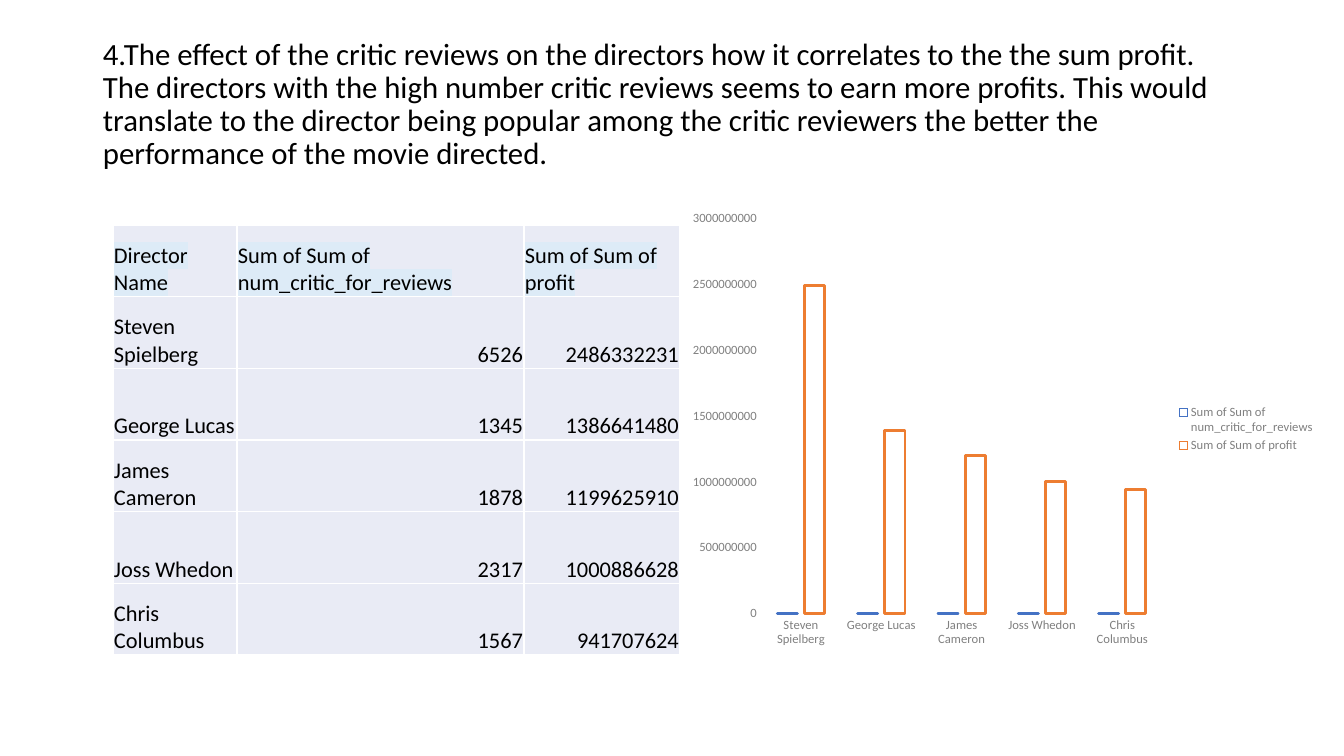
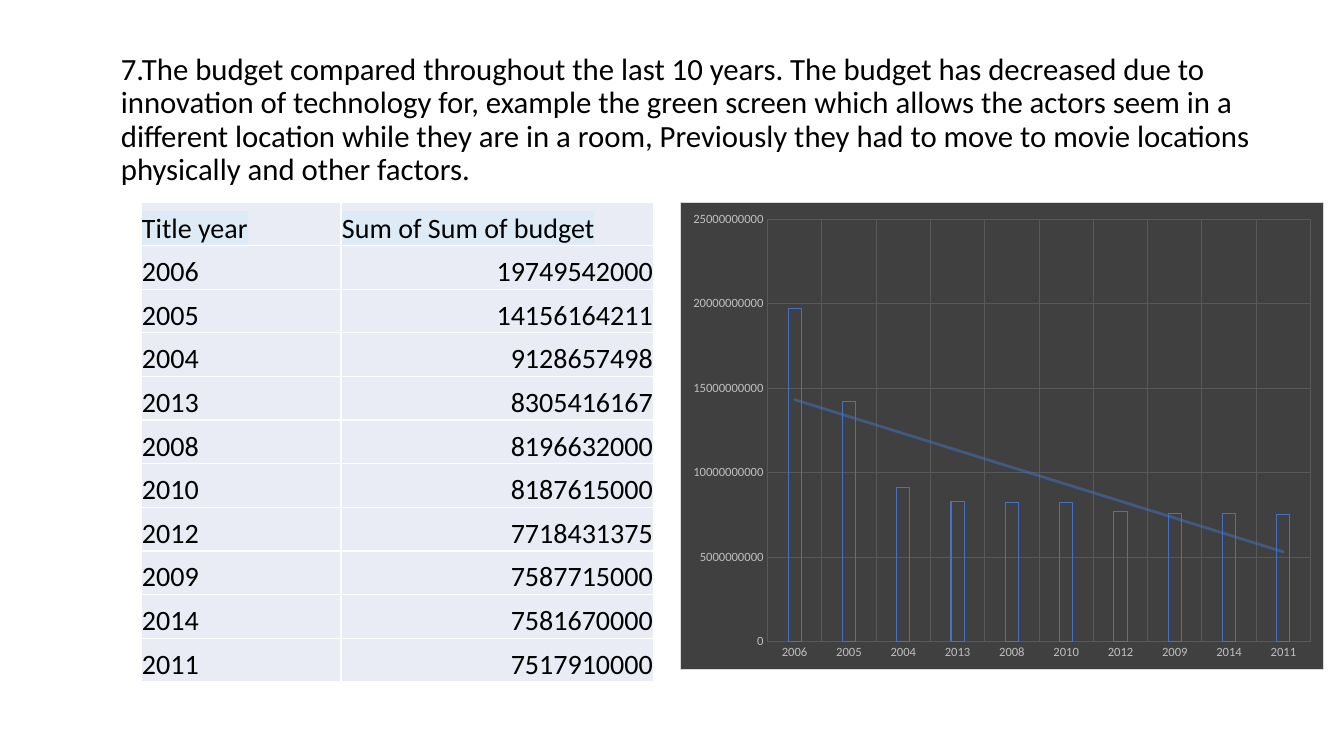
"""Build two slides that pair a data table with a column chart."""
from pptx import Presentation
from pptx.chart.data import CategoryChartData
from pptx.dml.color import RGBColor
from pptx.enum import chart as kinds, text as txt
from pptx.oxml import parse_xml
from pptx.oxml.ns import nsdecls, qn
from pptx.util import Pt

PX = 12192000 / 1344
FONT = "Calibri"
BLACK = RGBColor(0x00, 0x00, 0x00)
WHITE = RGBColor(0xFF, 0xFF, 0xFF)
CELL = RGBColor(0xE9, 0xEB, 0xF5)
MARK = RGBColor(0xDD, 0xEB, 0xF7)
BLUE = RGBColor(0x44, 0x72, 0xC4)
ORANGE = RGBColor(0xED, 0x7D, 0x31)
GREY = RGBColor(0x80, 0x80, 0x80)
DARK = RGBColor(0x40, 0x40, 0x40)
RULE = RGBColor(0x59, 0x59, 0x59)
PALE = RGBColor(0xBF, 0xBF, 0xBF)
EDGE = RGBColor(0xD9, 0xD9, 0xD9)

CRITICS = (
    "4.The effect of the critic reviews on the directors how it correlates to the "
    "the sum profit. The directors with the high number critic reviews seems to earn "
    "more profits. This would translate to the director being popular among the critic "
    "reviewers the better the performance of the movie directed."
)
BUDGET = (
    "7.The budget compared throughout the last 10 years. The budget has decreased due "
    "to innovation of technology for, example the green screen which allows the actors "
    "seem in a different location while they are in a room, Previously they had to move "
    "to movie locations physically and other factors."
)
PROFITS = [
    ("Director Name", "Sum of Sum of num_critic_for_reviews", "Sum of Sum of profit"),
    ("Steven Spielberg", "6526", "2486332231"),
    ("George Lucas", "1345", "1386641480"),
    ("James Cameron", "1878", "1199625910"),
    ("Joss Whedon", "2317", "1000886628"),
    ("Chris Columbus", "1567", "941707624"),
]
YEARS = [
    ("Title year", "Sum of Sum of budget"),
    ("2006", "19749542000"),
    ("2005", "14156164211"),
    ("2004", "9128657498"),
    ("2013", "8305416167"),
    ("2008", "8196632000"),
    ("2010", "8187615000"),
    ("2012", "7718431375"),
    ("2009", "7587715000"),
    ("2014", "7581670000"),
    ("2011", "7517910000"),
]


def px(*vals):
    """Turn pixels into EMU."""
    return [round(v * PX) for v in vals]


def style(font, size, color):
    """Set the face, size and colour of a font."""
    font.name, font.size = FONT, Pt(size)
    font.color.rgb = color


def write(frame, words, size=22, color=BLACK, align=None, space=None, mark=None):
    """Put one formatted paragraph in a text frame."""
    para = frame.paragraphs[0]
    para.alignment, para.line_spacing = align, space
    run = para.add_run()
    run.text = words
    style(run.font, size, color)
    if mark:
        fill = run.font.fill and run._r.rPr.find(qn("a:solidFill"))
        fill.addnext(parse_xml(
            f'<a:highlight {nsdecls("a")}><a:srgbClr val="{mark}"/></a:highlight>'))


def add_title(slide, box, words):
    """Add the heading of a slide."""
    frame = slide.shapes.add_textbox(*px(*box)).text_frame
    frame.word_wrap = True
    frame.vertical_anchor = txt.MSO_ANCHOR.MIDDLE
    write(frame, words, space=0.9)


def add_edges(cell):
    """Draw thin white borders round a table cell."""
    props = cell._tc.get_or_add_tcPr()
    for spot, side in enumerate("LRTB"):
        props.insert(spot, parse_xml(
            f'<a:ln{side} {nsdecls("a")} w="{Pt(1)}"><a:solidFill>'
            f'<a:srgbClr val="{WHITE}"/></a:solidFill></a:ln{side}>'))


def add_grid(slide, left, top, cols, height, rows, size):
    """Add a table with equal rows and a marked heading row."""
    box = px(left, top, sum(cols), height)
    table = slide.shapes.add_table(len(rows), len(cols), *box).table
    table.first_row = table.horz_banding = False
    for col, width in zip(table.columns, px(*cols)):
        col.width = width
    for y, row in enumerate(rows):
        table.rows[y].height = px(height / len(rows))[0]
        for x, words in enumerate(row):
            cell = table.cell(y, x)
            cell.margin_left = cell.margin_right = cell.margin_top = px(1)[0]
            cell.margin_bottom = 0
            cell.vertical_anchor = txt.MSO_ANCHOR.BOTTOM
            cell.fill.solid()
            cell.fill.fore_color.rgb = CELL
            add_edges(cell)
            write(cell.text_frame, words, size,
                  align=txt.PP_ALIGN.RIGHT if x and y else None,
                  mark=None if y else MARK)


def set_axis(axis, color, rule=None):
    """Format the labels and grid of an axis."""
    axis.major_tick_mark = axis.minor_tick_mark = kinds.XL_TICK_MARK.NONE
    axis.format.line.fill.background()
    style(axis.tick_labels.font, 9, color)
    axis.has_major_gridlines = rule is not None
    if rule is not None:
        line = axis.major_gridlines.format.line
        line.color.rgb, line.width = rule, Pt(0.75)


def add_bars(slide, box, cats, series, top, step, gap, lap, width, color, rule=None):
    """Add a chart of outlined columns."""
    data = CategoryChartData()
    data.categories = cats
    for name, vals, _ in series:
        data.add_series(name, vals)
    kind = kinds.XL_CHART_TYPE.COLUMN_CLUSTERED
    chart = slide.shapes.add_chart(kind, *px(*box), data).chart
    chart.has_title = chart.has_legend = False
    style(chart.font, 10, BLACK)
    set_axis(chart.category_axis, color, rule)
    axis = chart.value_axis
    set_axis(axis, color, rule)
    axis.minimum_scale, axis.maximum_scale, axis.major_unit = 0, top, step
    plot = chart.plots[0]
    plot.vary_by_categories = False
    plot.gap_width, plot.overlap = gap, lap
    for bars, (_, _, hue) in zip(plot.series, series):
        bars.format.fill.background()
        bars.format.line.color.rgb = hue
        bars.format.line.width = Pt(width)
    return chart


def add_key(chart, color):
    """Add a legend on the right of a chart."""
    chart.has_legend = True
    chart.legend.position = kinds.XL_LEGEND_POSITION.RIGHT
    chart.legend.include_in_layout = False
    style(chart.legend.font, 9, color)


def add_back(chart, fill, edge):
    """Fill and outline the chart area."""
    chart.element.find(qn("c:chart")).addnext(parse_xml(
        f'<c:spPr {nsdecls("c", "a")}>'
        f'<a:solidFill><a:srgbClr val="{fill}"/></a:solidFill>'
        f'<a:ln w="{Pt(0.75)}"><a:solidFill><a:srgbClr val="{edge}"/></a:solidFill></a:ln>'
        '</c:spPr>'))


def add_trend(chart, color):
    """Add a half transparent linear trend line to the first series."""
    cat = next(chart.element.iter(qn("c:cat")))
    cat.addprevious(parse_xml(
        f'<c:trendline {nsdecls("c", "a")}><c:spPr><a:ln w="{Pt(2)}" cap="rnd">'
        f'<a:solidFill><a:srgbClr val="{color}"><a:alpha val="50000"/></a:srgbClr>'
        '</a:solidFill></a:ln></c:spPr><c:trendlineType val="linear"/>'
        '<c:dispRSqr val="0"/><c:dispEq val="0"/></c:trendline>'))


def show_profit(slide):
    """Build the slide on critics and profit."""
    add_title(slide, (93, 32, 1159, 146), CRITICS)
    add_grid(slide, 113, 225, (124, 287, 156), 430, PROFITS, 16)
    _, *names = PROFITS[0]
    sums = [v * 10**7 for v in (249, 139, 120, 100, 94)]
    series = [(names[0], [0] * 5, BLUE), (names[1], sums, ORANGE)]
    chart = add_bars(slide, (680, 202, 645, 454), [r[0] for r in PROFITS[1:]], series,
                     top=3 * 10**9, step=5 * 10**8, gap=164, lap=-35, width=2, color=GREY)
    add_key(chart, GREY)


def show_budget(slide):
    """Build the slide on budgets by year."""
    add_title(slide, (111, 37, 1158, 167), BUDGET)
    add_grid(slide, 141, 202, (200, 313), 480, YEARS, 20)
    sums = [v * 10**8 for v in (197, 142, 91, 83, 82, 82, 77, 76, 76, 75)]
    chart = add_bars(slide, (680, 202, 644, 468), [r[0] for r in YEARS[1:]],
                     [("Series 1", sums, BLUE)], top=25 * 10**9, step=5 * 10**9,
                     gap=315, lap=-40, width=0.75, color=PALE, rule=RULE)
    add_back(chart, DARK, EDGE)
    add_trend(chart, BLUE)


def main():
    """Build and save the deck."""
    deck = Presentation()
    deck.slide_width, deck.slide_height = px(1344, 756)
    for show in (show_profit, show_budget):
        show(deck.slides.add_slide(deck.slide_layouts[6]))
    deck.save("out.pptx")


if __name__ == "__main__":
    main()
